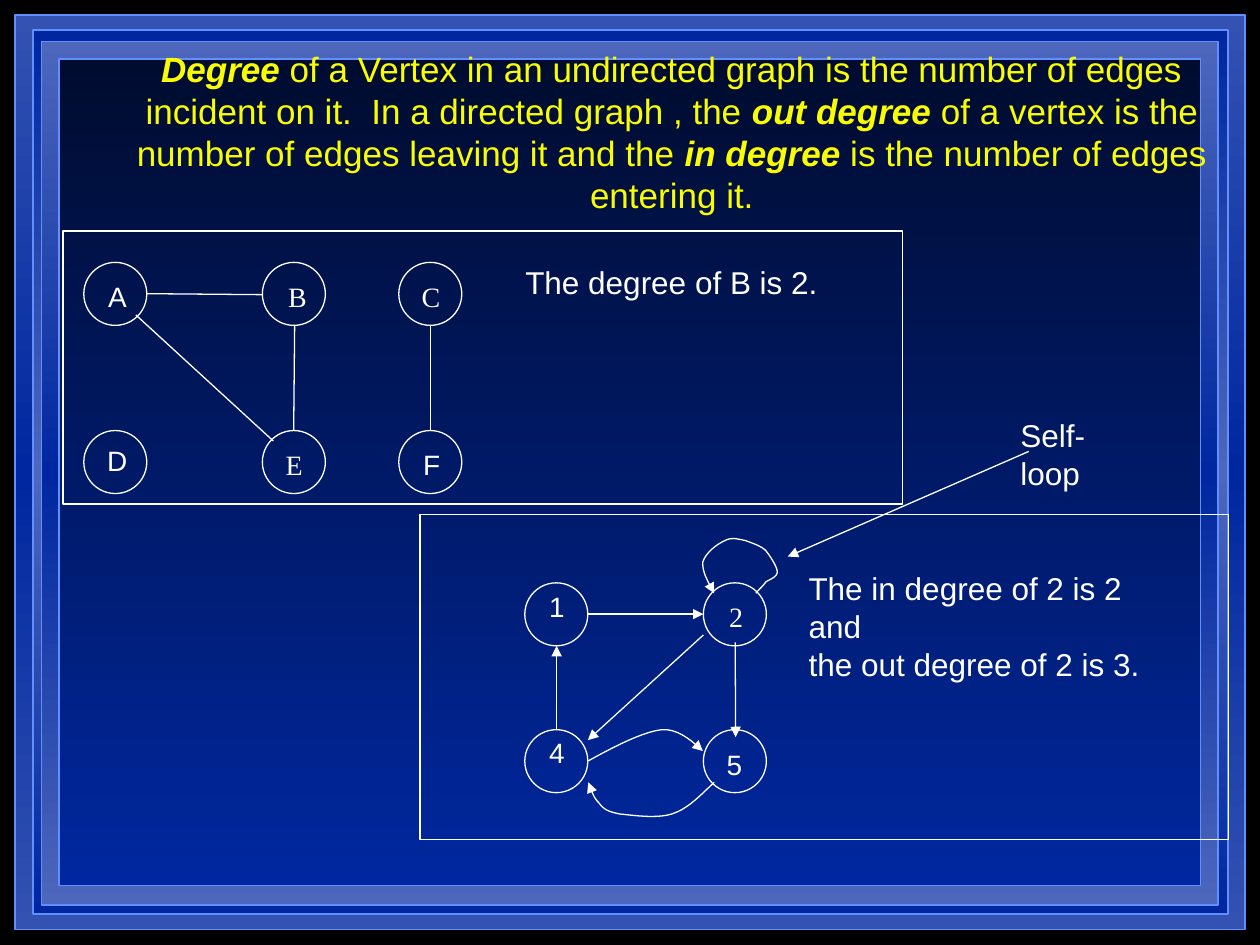
from copy import deepcopy
from pptx import Presentation
from pptx.dml.color import RGBColor as RGB
from pptx.enum.shapes import MSO_CONNECTOR as Link, MSO_SHAPE as Form
from pptx.enum.text import MSO_ANCHOR as Anchor, MSO_AUTO_SIZE as Fit, PP_ALIGN as Align
from pptx.oxml.ns import qn
from pptx.oxml.xmlchemy import OxmlElement as Node
from pptx.util import Cm, Pt

WHITE = RGB(0xFF, 0xFF, 0xFF)
BLACK = RGB(0, 0, 0)
GOLD = RGB(0xFA, 0xFD, 0x00)
EDGE = RGB(0x61, 0x8F, 0xFD)
STEEL = RGB(0x33, 0x52, 0xB2)
MIST = RGB(0x4C, 0x67, 0xBC)
BLUE = RGB(0x00, 0x27, 0x9F)
NIGHT = RGB(0x00, 0x0C, 0x2F)
SANS, SERIF = "Arial", "Times New Roman"
SIZE = 1.27

PANELS = [
    ((0.3, 0.3, 24.8, 18.44), (STEEL, BLUE, STEEL)),
    ((0.66, 0.61, 24.1, 17.81), (BLUE, MIST, BLUE)),
    ((0.84, 0.84, 23.72, 17.4), (MIST, BLUE, MIST)),
    ((1.19, 1.19, 23.01, 16.66), (NIGHT, BLUE)),
]
TITLE = [
    ("Degree", True),
    (" of a Vertex in an undirected graph is the number of edges incident on it.  "
     "In a directed graph , the ", False),
    ("out degree ", True),
    ("of a vertex is the number of edges leaving it and the ", False),
    ("in degree", True),
    (" is the number of edges entering it.", False),
]
GRIDS = [((1.69, 5.29, 8.04), (5.29, 8.68)), ((10.58, 14.18), (11.75, 14.71))]
LABELS = [
    ("A", 1.93, 5.51, SANS), ("B", 5.56, 5.51, SERIF), ("C", 8.25, 5.51, SERIF),
    ("D", 1.91, 8.81, SANS), ("E", 5.51, 8.89, SERIF), ("F", 8.28, 8.89, SANS),
    ("1", 10.82, 11.75, SANS), ("2", 14.45, 11.96, SERIF),
    ("4", 10.82, 14.71, SANS), ("5", 14.4, 14.94, SANS),
]
NOTES = [
    ("The degree of B is 2.", 10.34, 5.18, 6.4, 1.02),
    ("The in degree of 2 is 2 and\nthe out degree of 2 is 3.", 16.05, 11.35, 8.05, 1.78),
    ("Self-loop", 20.32, 8.26, 3, 1.02),
]
EDGES = [
    (2.74, 6.35, 5.51, 8.89), (2.96, 5.92, 5.29, 5.94),
    (5.92, 8.68, 5.94, 6.56), (8.68, 8.68, 8.68, 6.56),
]
ARROWS = [
    (11.22, 14.71, 11.22, 13.02), (11.85, 12.38, 14.18, 12.38),
    (14.18, 12.8, 11.85, 14.92), (14.82, 12.95, 14.83, 14.86),
    (20.74, 9.1, 15.88, 11.22),
]
LOOP = [
    (14.4, 11.96), (14.27, 11.73), (14.15, 11.51), (14.17, 11.33), (14.22, 11.15),
    (14.45, 10.97), (14.61, 10.9), (14.76, 10.82), (14.88, 10.87), (15.04, 10.9),
    (15.16, 10.95), (15.34, 11), (15.44, 11.1), (15.54, 11.23), (15.67, 11.43),
    (15.67, 11.53), (15.67, 11.63), (15.52, 11.68), (15.44, 11.73), (15.39, 11.81),
    (15.27, 11.91), (15.24, 11.96),
]
THERE = [
    (11.86, 15.34), (12.4, 15.04), (12.95, 14.76), (13.34, 14.71),
    (13.72, 14.68), (14.05, 15.04), (14.17, 15.14),
]
BACK = [
    (14.4, 15.77), (14.12, 16.03), (13.87, 16.31), (13.54, 16.41), (13.23, 16.51),
    (12.73, 16.43), (12.5, 16.41), (12.24, 16.36), (12.17, 16.31), (12.07, 16.18),
    (11.96, 16.08), (11.89, 15.85), (11.86, 15.77),
]
BOXES = [(1.27, 4.66, 16.93, 5.5), (8.47, 10.37, 16.3, 6.56)]


def trace(knots, steps=10):
    """Return points along a chain of cubic curves."""
    points = [knots[0]]
    for i in range(0, len(knots) - 1, 3):
        for n in range(1, steps + 1):
            t = n / steps
            parts = ((1 - t) ** 3, 3 * t * (1 - t) ** 2, 3 * t * t * (1 - t), t ** 3)
            points.append(tuple(sum(w * k[axis] for w, k in zip(parts, knots[i:i + 4]))
                                for axis in (0, 1)))
    return points


class Sketch:
    """Holds the style and the current slide."""

    def __init__(self, slide):
        self.slide = slide
        self.shapes = slide.shapes
        back = slide.background.fill
        back.solid()
        back.fore_color.rgb = BLACK

    def stroke(self, item, tip=None, color=WHITE, width=0.75):
        item.line.color.rgb = color
        item.line.width = Pt(width)
        if tip:
            end = Node(tip)
            end.set("type", "triangle")
            item._element.spPr.get_or_add_ln().append(end)

    def panel(self, area, colors):
        item = self.shapes.add_shape(Form.RECTANGLE, *map(Cm, area))
        item.shadow.inherit = False
        item.fill.gradient()
        item.fill.gradient_angle = 270
        stops = item._element.spPr.find(".//" + qn("a:gsLst"))
        for _ in colors[2:]:
            stops.append(deepcopy(stops[-1]))
        for i, (stop, color) in enumerate(zip(item.fill.gradient_stops, colors)):
            stop.color.rgb = color
            stop.position = i / (len(colors) - 1)
        self.stroke(item, color=EDGE, width=1)

    def title(self, parts, *area):
        item = self.shapes.title
        self.shapes._spTree.append(item._element)
        item.left, item.top, item.width, item.height = map(Cm, area)
        frame = item.text_frame
        frame.auto_size, frame.word_wrap = Fit.NONE, True
        frame.vertical_anchor = Anchor.MIDDLE
        para = frame.paragraphs[0]
        para.alignment = Align.CENTER
        for text, strong in parts:
            run = para.add_run()
            run.text = text
            self.style(run.font, 20, SANS, GOLD)
            run.font.bold = run.font.italic = strong

    def style(self, font, size, name, color=WHITE):
        font.size, font.name = Pt(size), name
        font.color.rgb = color

    def shape(self, form, *area):
        item = self.shapes.add_shape(form, *map(Cm, area))
        item.shadow.inherit = False
        item.fill.background()
        self.stroke(item)

    def text(self, words, x, y, w, h, size=18, name=SANS):
        frame = self.shapes.add_textbox(Cm(x), Cm(y), Cm(w), Cm(h)).text_frame
        frame.word_wrap, frame.auto_size = False, Fit.SHAPE_TO_FIT_TEXT
        para = frame.paragraphs[0]
        para.text = words
        for run in para.runs:
            self.style(run.font, size, name)

    def line(self, ends, tip=None):
        item = self.shapes.add_connector(Link.STRAIGHT, *map(Cm, ends))
        self.stroke(item, tip)
        item._element.spPr.append(Node("a:effectLst"))

    def curve(self, knots, tip):
        first, *rest = [(Cm(x), Cm(y)) for x, y in trace(knots)]
        path = self.shapes.build_freeform(*first)
        path.add_line_segments(rest, close=False)
        item = path.convert_to_shape()
        item.shadow.inherit = False
        item.fill.background()
        self.stroke(item, tip)


def main():
    deck = Presentation()
    deck.slide_width, deck.slide_height = Cm(25.4), Cm(19.05)
    art = Sketch(deck.slides.add_slide(deck.slide_layouts[5]))
    for area, colors in PANELS:
        art.panel(area, colors)
    art.title(TITLE, 1.69, 0.85, 23.71, 3.6)
    for cols, rows in GRIDS:
        for y in rows:
            for x in cols:
                art.shape(Form.OVAL, x, y, SIZE, SIZE)
    for words, x, y, name in LABELS:
        art.text(words, x, y, 0.85, 0.94, 16, name)
    for ends in EDGES:
        art.line(ends)
    for ends in ARROWS:
        art.line(ends, "a:tailEnd")
    art.curve(LOOP, "a:headEnd")
    art.curve(THERE, "a:tailEnd")
    art.curve(BACK, "a:tailEnd")
    for note in NOTES:
        art.text(*note)
    for box in BOXES:
        art.shape(Form.RECTANGLE, *box)
    deck.save("out.pptx")


if __name__ == "__main__":
    main()
